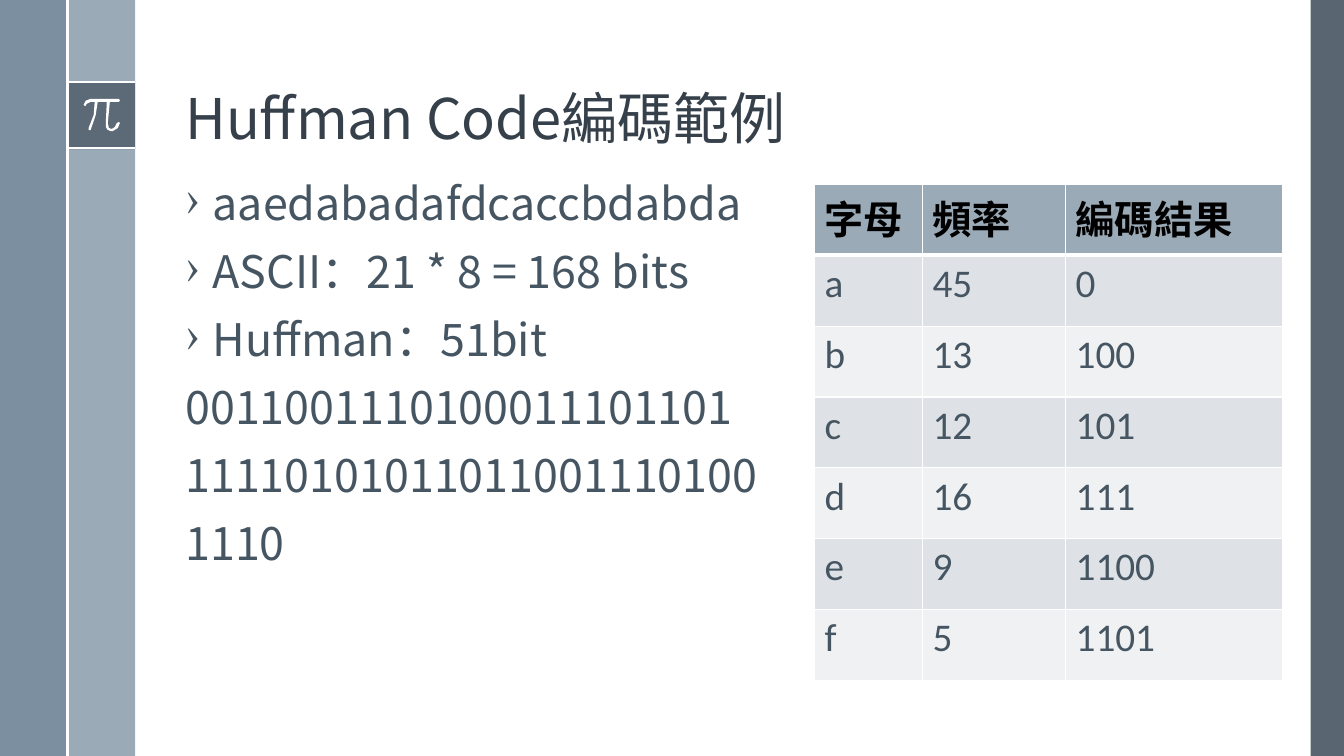
"""Build the Huffman code example slide with its side bands, text and code table."""
from dataclasses import dataclass

from lxml import etree
from pptx import Presentation
from pptx.dml.color import RGBColor
from pptx.enum.shapes import MSO_CONNECTOR, MSO_SHAPE
from pptx.enum.text import MSO_ANCHOR
from pptx.oxml.ns import qn
from pptx.util import Inches, Pt

RECTANGLE = MSO_SHAPE.RECTANGLE
STRAIGHT = MSO_CONNECTOR.STRAIGHT
TOP, BOTTOM = MSO_ANCHOR.TOP, MSO_ANCHOR.BOTTOM

WIDTH, HEIGHT = 13.33, 7.5
BAND = 0.67
BADGE_TOP = 0.81
WHITE, SLATE, MIST, INK = "FFFFFF", "475562", "9BAAB7", "465562"
STRIPES = ("DEE2E6", "EFF1F3")
TEXT_FONT, TABLE_FONT = "Noto Sans CJK TC", "Calibri"

PI_OUTLINE = [
    (118, 98), (90, 98), (85, 100), (83, 104), (84, 105), (85, 105), (86, 103),
    (90, 101), (94, 101), (93, 114), (88, 127), (88, 129), (90, 129), (95, 114),
    (97, 101), (106, 101), (105, 122), (105, 126), (107, 129), (110, 130),
    (112, 130), (117, 127), (119, 122), (118, 121), (116, 122), (114, 126),
    (111, 128), (108, 127), (107, 122), (109, 101), (118, 101), (119, 100),
]

CODES = [
    ("字母", "頻率", "編碼結果"),
    ("a", "45", "0"),
    ("b", "13", "100"),
    ("c", "12", "101"),
    ("d", "16", "111"),
    ("e", "9", "1100"),
    ("f", "5", "1101"),
]
COLUMN_WIDTHS = (1.07, 1.42, 2.15)
TABLE_HEIGHT = 4.92


@dataclass
class Panel:
    left: float
    top: float
    width: float
    height: float
    color: str
    opacity: int = 100


@dataclass
class Rule:
    start: tuple[float, float]
    end: tuple[float, float]


@dataclass
class Line:
    text: str
    bullet: bool = False


@dataclass
class TextBlock:
    top: float
    height: float
    anchor: MSO_ANCHOR
    size: int
    color: str
    space_before: int
    lines: list[Line]


PANELS = [
    Panel(WIDTH - 0.33, 0, 0.33, HEIGHT, SLATE, 90),
    Panel(BAND, 0, BAND, HEIGHT, MIST),
    Panel(0, 0, BAND, HEIGHT, "6A8093", 88),
    Panel(BAND, BADGE_TOP, BAND, BAND, SLATE, 75),
]
RULES = [
    Rule((BAND, BADGE_TOP), (2 * BAND, BADGE_TOP)),
    Rule((BAND, BADGE_TOP + 0.66), (2 * BAND, BADGE_TOP + 0.66)),
    Rule((BAND, 0), (BAND, HEIGHT)),
]
TITLE = TextBlock(0.19, 1.36, BOTTOM, 40, "35404A", 0, [Line("Huffman Code編碼範例")])
BODY = TextBlock(1.75, 5, TOP, 32, INK, 14, [
    Line("aaedabadafdcaccbdabda", True),
    Line("ASCII：21 * 8 = 168 bits", True),
    Line("Huffman：51bit", True),
    Line("0011001110100011101101"),
    Line("11110101011011001110100"),
    Line("1110"),
])


def rgb(color: str) -> RGBColor:
    return RGBColor.from_string(color)


def apply(target, formats: dict) -> None:
    for name, value in formats.items():
        setattr(target, name, value)


def paint(shape, color: str, opacity: int = 100) -> None:
    shape.shadow.inherit = False
    shape.fill.solid()
    shape.fill.fore_color.rgb = rgb(color)
    shape.line.fill.background()
    if opacity < 100:
        tint = shape.fill._xPr.find(f"{qn('a:solidFill')}/{qn('a:srgbClr')}")
        etree.SubElement(tint, qn("a:alpha"), val=str(opacity * 1000))


def draw_panel(page, panel: Panel) -> None:
    shape = page.shapes.add_shape(RECTANGLE, Inches(panel.left), Inches(panel.top),
                                  Inches(panel.width), Inches(panel.height))
    paint(shape, panel.color, panel.opacity)


def draw_rule(page, rule: Rule) -> None:
    ends = [Inches(value) for value in (*rule.start, *rule.end)]
    connector = page.shapes.add_connector(STRAIGHT, *ends)
    connector.line.color.rgb = rgb(WHITE)
    connector.line.width = Pt(1.5)
    etree.SubElement(connector._element.spPr, qn("a:effectLst"))


def draw_pi(page) -> None:
    builder = page.shapes.build_freeform(*PI_OUTLINE[0], scale=Inches(0.01))
    builder.add_line_segments(PI_OUTLINE[1:], close=True)
    paint(builder.convert_to_shape(), WHITE)


def add_span(para, text: str, font: str, size: int, color: str, bold: bool = False):
    span = para.add_run()
    span.text = text
    apply(span.font, {"name": font, "size": Pt(size), "bold": bold})
    span.font.color.rgb = rgb(color)
    return span


def draw_text(page, block: TextBlock) -> None:
    box = page.shapes.add_textbox(Inches(1.74), Inches(block.top), Inches(10.7), Inches(block.height))
    frame = box.text_frame
    apply(frame, {"word_wrap": True, "vertical_anchor": block.anchor})
    for index, line in enumerate(block.lines):
        para = frame.add_paragraph() if index else frame.paragraphs[0]
        apply(para, {"line_spacing": 0.9, "space_before": Pt(block.space_before)})
        if line.bullet:
            properties = para._p.get_or_add_pPr()
            properties.set("marL", str(Inches(0.27)))
            properties.set("indent", str(Inches(-0.27)))
            etree.SubElement(properties, qn("a:buChar"), char="›")
        span = add_span(para, line.text, TEXT_FONT, block.size, block.color)
        etree.SubElement(span._r.get_or_add_rPr(), qn("a:ea"), typeface=TEXT_FONT)


def set_borders(cell, widths: dict[str, int]) -> None:
    properties = cell._tc.get_or_add_tcPr()
    for index, (side, width) in enumerate(widths.items()):
        border = etree.Element(qn(f"a:{side}"), w=str(Pt(width)))
        fill = etree.SubElement(border, qn("a:solidFill"))
        etree.SubElement(fill, qn("a:srgbClr"), val=WHITE)
        properties.insert(index, border)


def draw_table(page) -> None:
    frame = page.shapes.add_table(len(CODES), len(COLUMN_WIDTHS), Inches(8.08), Inches(1.83),
                                  Inches(sum(COLUMN_WIDTHS)), Inches(TABLE_HEIGHT))
    table = frame.table
    for column, width in zip(table.columns, COLUMN_WIDTHS):
        column.width = Inches(width)
    for row, values in enumerate(CODES):
        header = row == 0
        table.rows[row].height = Inches(TABLE_HEIGHT / len(CODES))
        for column, value in enumerate(values):
            cell = table.cell(row, column)
            cell.fill.solid()
            cell.fill.fore_color.rgb = rgb(MIST if header else STRIPES[(row - 1) % 2])
            set_borders(cell, {"lnL": 1, "lnR": 1, "lnT": 3 if row == 1 else 1,
                               "lnB": 3 if header else 1})
            add_span(cell.text_frame.paragraphs[0], value, TABLE_FONT, 28,
                     "000000" if header else INK, header)


def main() -> None:
    deck = Presentation()
    apply(deck, {"slide_width": Inches(WIDTH), "slide_height": Inches(HEIGHT)})
    page = deck.slides.add_slide(deck.slide_layouts[6])
    for panel in PANELS:
        draw_panel(page, panel)
    for rule in RULES:
        draw_rule(page, rule)
    draw_pi(page)
    draw_text(page, TITLE)
    draw_table(page)
    draw_text(page, BODY)
    deck.save("out.pptx")


if __name__ == "__main__":
    main()
